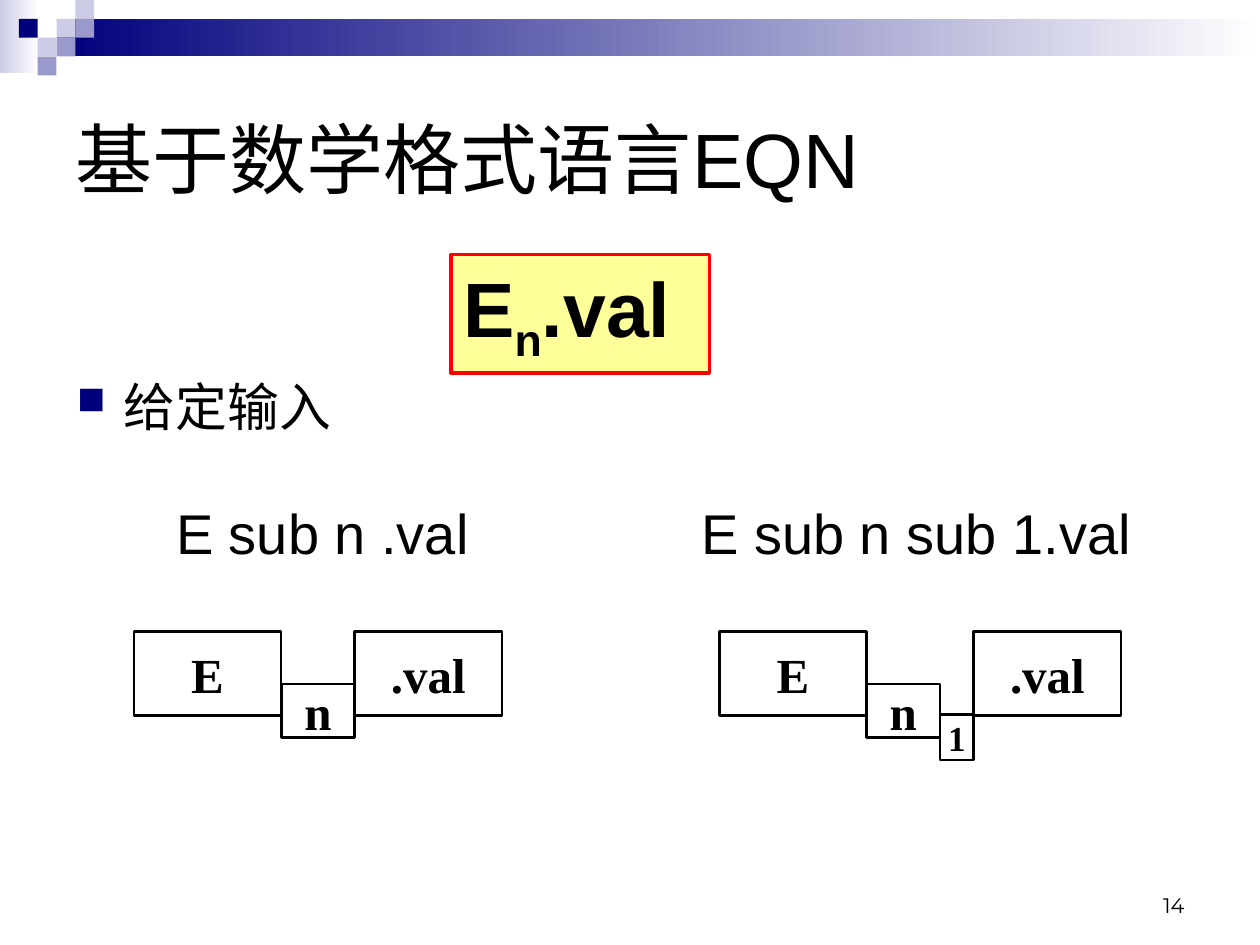
from lxml import etree
from pptx import Presentation
from pptx.dml.color import RGBColor
from pptx.enum import shapes, text
from pptx.oxml import ns
from pptx.util import Cm, Pt

HUES = {"ink": "000000", "navy": "00007D", "mid": "9999CC", "pale": "CCCCE6",
        "white": "FFFFFF", "red": "FF0000", "cream": "FFFF99"}


class Deck:
    """Style and current slide."""
    sans, serif = "Arial", "Times New Roman"

    def __init__(self):
        self.prs = Presentation()
        self.prs.slide_width, self.prs.slide_height = Cm(25.4), Cm(19.05)
        self.slide = self.prs.slides.add_slide(self.prs.slide_layouts[5])

    def hue(self, name):
        return RGBColor.from_string(HUES[name])

    def style(self, frame, size, font=None, bold=False, align="LEFT",
              anchor="TOP", wrap=True):
        frame.auto_size = text.MSO_AUTO_SIZE.NONE
        frame.word_wrap = wrap
        frame.vertical_anchor = getattr(text.MSO_ANCHOR, anchor)
        for para in frame.paragraphs:
            para.alignment = getattr(text.PP_ALIGN, align)
            for run in para.runs:
                run.font.name, run.font.size = font or self.sans, Pt(size)
                run.font.bold = bold
                run.font.color.rgb = self.hue("ink")

    def title(self, words):
        box = self.slide.shapes.title
        box.left, box.top, box.width, box.height = map(Cm, (1.27, 1.27, 22.86, 3.81))
        box.text_frame.text = words
        self.style(box.text_frame, 44, anchor="MIDDLE")

    def rect(self, x, y, w, h, fill=None, line=None, wide=1.5):
        box = self.slide.shapes.add_shape(
            shapes.MSO_SHAPE.RECTANGLE, Cm(x), Cm(y), Cm(w), Cm(h))
        box.shadow.inherit = False
        if fill:
            box.fill.solid()
            box.fill.fore_color.rgb = self.hue(fill)
        else:
            box.fill.background()
        if line:
            box.line.color.rgb, box.line.width = self.hue(line), Pt(wide)
        else:
            box.line.fill.background()
        return box

    def fade(self, x, y, w, h, hue):
        box = self.rect(x, y, w, h)
        box.fill.gradient()
        box.fill.gradient_angle = 0
        for stop, name, pos in zip(box.fill.gradient_stops, (hue, "white"), (0, 1)):
            stop.color.rgb, stop.position = self.hue(name), pos

    def label(self, x, y, w, h, words, size, **look):
        box = self.slide.shapes.add_textbox(Cm(x), Cm(y), Cm(w), Cm(h))
        box.text_frame.text = words
        self.style(box.text_frame, size, **look)
        return box

    def bullet(self, x, y, w, h, words, size):
        box = self.label(x, y, w, h, words, size)
        props = box.text_frame.paragraphs[0]._p.get_or_add_pPr()
        props.set("marL", str(Cm(0.95)))
        props.set("indent", str(-Cm(0.95)))
        tint = etree.SubElement(props, ns.qn("a:buClr"))
        etree.SubElement(tint, ns.qn("a:srgbClr"), val=HUES["navy"])
        etree.SubElement(props, ns.qn("a:buSzPct"), val="75000")
        etree.SubElement(props, ns.qn("a:buChar"), char="■")

    def cell(self, x, y, w, h, words, size=28):
        box = self.rect(x, y, w, h, line="ink")
        box.text_frame.text = words
        self.style(box.text_frame, size, self.serif, True, "CENTER", "MIDDLE", False)

    def sub(self, x, y, w, h, parts):
        box = self.rect(x, y, w, h, "cream", "red", 2)
        para = box.text_frame.paragraphs[0]
        for words, base in parts:
            run = para.add_run()
            run.text = words
            run._r.get_or_add_rPr().set("baseline", str(base * 1000))
        self.style(box.text_frame, 44, bold=True)


def main():
    deck = Deck()

    # Top band and its tiles, on a square grid
    deck.fade(0, 0, 0.79, 1.47, "pale")
    deck.fade(1.14, 0.38, 24.26, 0.76, "navy")
    unit = 0.38
    for col, row, hue in ((3, 1, "pale"), (4, 0, "pale"), (4, 1, "mid"),
                          (2, 2, "pale"), (1, 1, "navy"), (3, 2, "mid"),
                          (2, 3, "mid")):
        deck.rect(col * unit, row * unit, unit, unit, hue)

    # Title, page number and bullet
    deck.title("基于数学格式语言EQN")
    deck.label(18.21, 17.35, 5.92, 1.27, "14", 12, font="Montserrat",
               align="RIGHT", anchor="BOTTOM")
    deck.bullet(1.3, 7.42, 22.86, 3.2, "给定输入", 29.6)

    # Formula
    deck.sub(9.09, 5.13, 5.21, 2.39, (("E", 0), ("n", -25), (".val", 0)))

    # Inputs
    deck.label(3.3, 9.93, 6.4, 1.63, "E sub n .val", 32, wrap=False)
    deck.label(13.89, 9.93, 9.17, 1.63, "E sub n sub 1.val", 32, wrap=False)

    # Nested boxes: each starts where the one before it ends
    big, small, tiny = (12.73, 2.97, 1.7), (13.79, 1.48, 1.08), (14.4, 0.68, 0.92)
    base = (("E", big, 28), ("n", small, 28))
    last = (".val", big, 28)
    for x, row in ((2.7, (*base, last)),
                   (14.5, (*base, ("1", tiny, 20), last))):
        for words, (y, w, h), size in row:
            deck.cell(x, y, w, h, words, size)
            x += w

    deck.prs.save("out.pptx")


if __name__ == "__main__":
    main()
